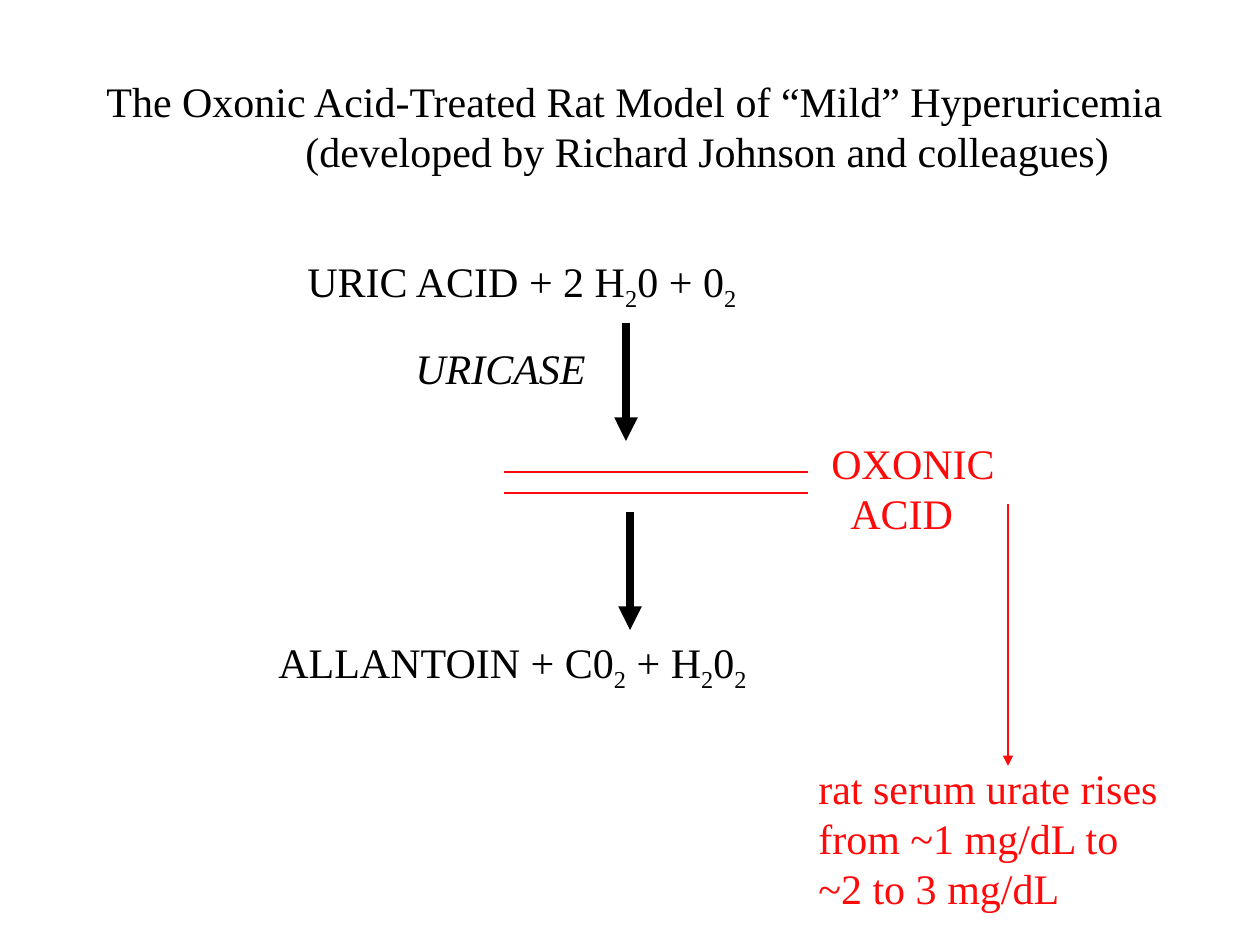
import pptx
import pptx.dml.color
import pptx.enum.shapes
import pptx.enum.text
import pptx.oxml.ns
import pptx.util
from lxml import etree

BLACK = pptx.dml.color.RGBColor(0x00, 0x00, 0x00)
RED = pptx.dml.color.RGBColor(0xFF, 0x0A, 0x0A)


def px(length):
    return pptx.util.Emu(round(length * 914400 / 126))


class ReactionSlide:
    """Draws a reaction diagram in one type style; text between bars is subscript."""

    font_name = "Times New Roman"
    font_size = pptx.util.Pt(24)

    def __init__(self, slide):
        self.slide = slide

    def text(self, left, top, width, height, lines, color=BLACK, italic=None, last_indent=0):
        box = self.slide.shapes.add_textbox(px(left), px(top), px(width), px(height))
        frame = box.text_frame
        frame.word_wrap = True
        frame.auto_size = pptx.enum.text.MSO_AUTO_SIZE.SHAPE_TO_FIT_TEXT
        for index, line in enumerate(lines):
            paragraph = frame.add_paragraph() if index else frame.paragraphs[0]
            if last_indent and index == len(lines) - 1:
                paragraph._p.get_or_add_pPr().set("marL", str(px(last_indent)))
            paragraph.font.name = self.font_name
            paragraph.font.size = self.font_size
            paragraph.font.color.rgb = color
            paragraph.font.italic = italic
            for position, part in enumerate(line.split("|")):
                if part:
                    run = paragraph.add_run()
                    run.text = part
                    if position % 2:
                        run._r.get_or_add_rPr().set("baseline", "-25000")

    def line(self, start, end, color=RED, weight=1, arrow=False):
        connector = self.slide.shapes.add_connector(
            pptx.enum.shapes.MSO_CONNECTOR.STRAIGHT, *map(px, start + end))
        connector.line.color.rgb = color
        connector.line.width = pptx.util.Pt(weight)
        if arrow:
            outline = connector.line._get_or_add_ln()
            etree.SubElement(outline, pptx.oxml.ns.qn("a:tailEnd"), type="triangle")
        etree.SubElement(connector._element.spPr, pptx.oxml.ns.qn("a:effectLst"))


def main():
    presentation = pptx.Presentation()
    presentation.slide_width = px(1260)
    presentation.slide_height = px(945)
    diagram = ReactionSlide(presentation.slides.add_slide(presentation.slide_layouts[6]))

    diagram.text(94, 69, 1088, 113, [
        "The Oxonic Acid-Treated Rat Model of “Mild” Hyperuricemia",
        "(developed by Richard Johnson and colleagues)"], last_indent=199)

    diagram.text(295, 249, 460, 71, ["URIC ACID + 2 H|2|0 + 0|2|"])
    diagram.text(403, 336, 202, 63, ["URICASE"], italic=True)
    diagram.text(266, 630, 500, 71, ["ALLANTOIN + C0|2| + H|2|0|2|"])
    for x, top in ((626, 323), (630, 512)):
        diagram.line((x, top), (x, top + 118), BLACK, 4.5, arrow=True)

    for y in (472, 493):
        diagram.line((504, y), (808, y))
    diagram.text(819, 431, 196, 113, ["OXONIC", "ACID"], RED, last_indent=19)
    diagram.line((1008, 504), (1008, 766), arrow=True)
    diagram.text(806, 756, 376, 164, [
        "rat serum urate rises", "from ~1 mg/dL to", "~2 to 3 mg/dL"], RED)

    presentation.save("out.pptx")


if __name__ == "__main__":
    main()
